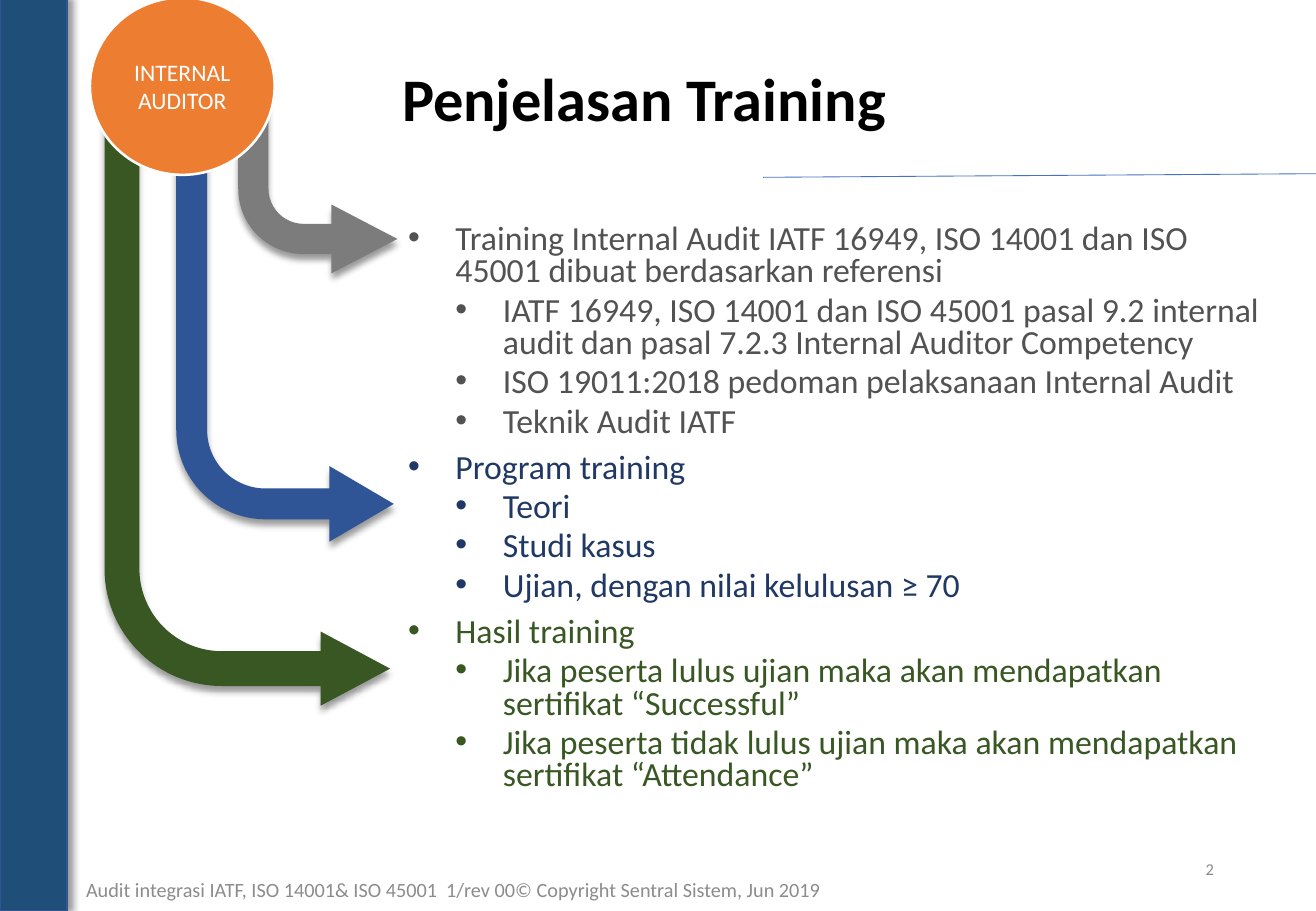
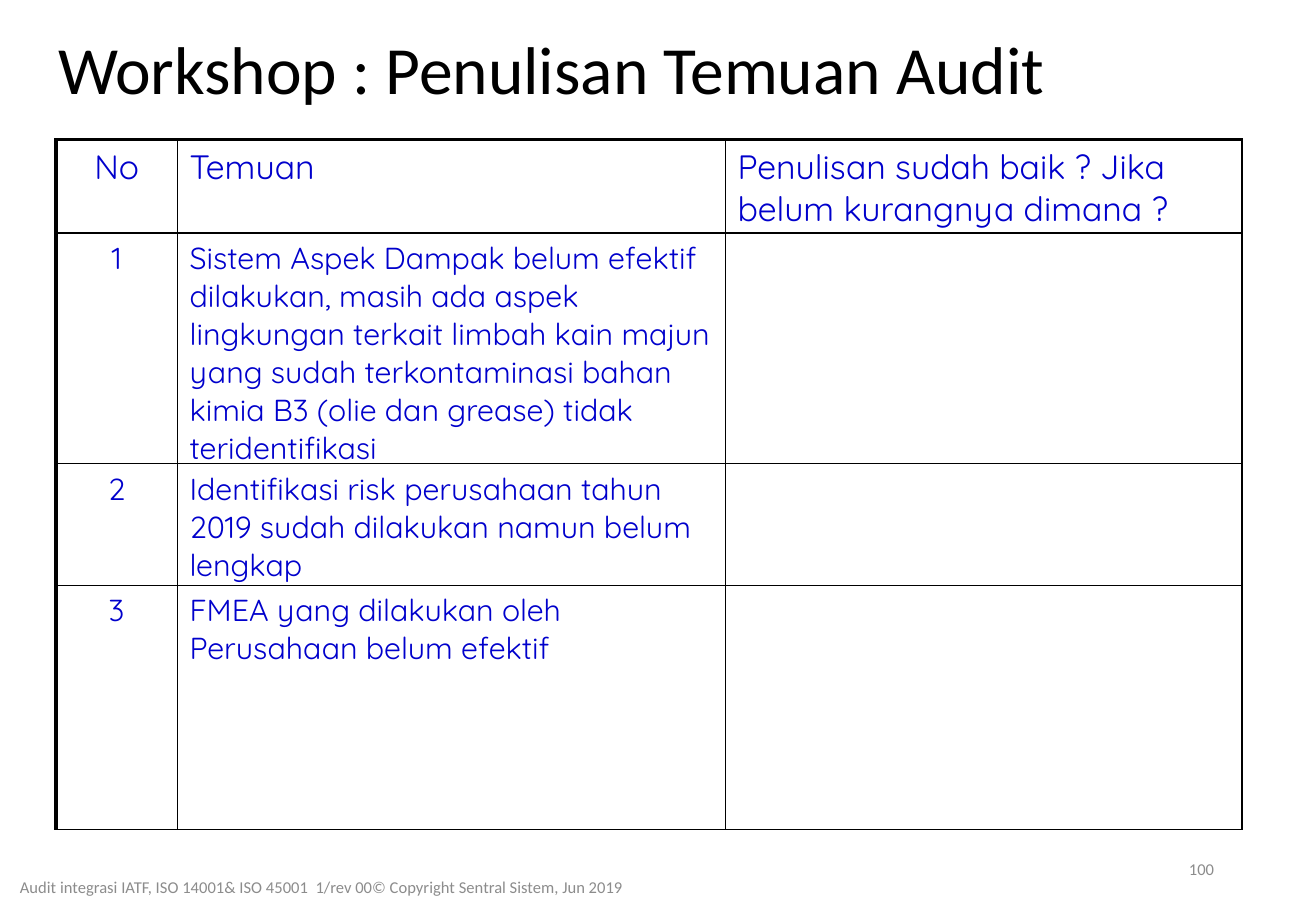
from dataclasses import dataclass

import pptx
import pptx.dml.color
import pptx.enum.shapes
import pptx.enum.text
import pptx.oxml
import pptx.oxml.ns
import pptx.util
from lxml import etree

Inches = pptx.util.Inches
Pt = pptx.util.Pt
Shape = pptx.enum.shapes.MSO_SHAPE
Align = pptx.enum.text.PP_ALIGN
Anchor = pptx.enum.text.MSO_ANCHOR


@dataclass(frozen=True)
class Theme:
    font: str = "Calibri"
    table_font: str = "Quicksand"
    black: str = "000000"
    white: str = "FFFFFF"
    footer: str = "8C8C8C"
    band: str = "1F4E79"
    band_edge: str = "325491"
    rule: str = "4472C4"
    circle: str = "ED7D31"
    table_text: str = "0000CC"
    title_size: float = 35.8
    workshop_size: float = 40
    body_size: float = 20
    row_size: float = 18
    circle_size: float = 14
    footer_size: float = 12
    small_size: float = 9.8
    thin: float = 1
    thick: float = 2.25


THEME = Theme()

FOOTER = "Audit integrasi IATF, ISO 14001& ISO 45001  1/rev 00© Copyright Sentral Sistem, Jun 2019"

TOPICS = [
    ("525252", "Training Internal Audit IATF 16949, ISO 14001 dan ISO 45001 dibuat berdasarkan referensi", [
        "IATF 16949, ISO 14001 dan ISO 45001 pasal 9.2 internal audit dan pasal 7.2.3 Internal Auditor Competency",
        "ISO 19011:2018 pedoman pelaksanaan Internal Audit",
        "Teknik Audit IATF",
    ]),
    ("203864", "Program training", [
        "Teori",
        "Studi kasus",
        "Ujian, dengan nilai kelulusan ≥ 70",
    ]),
    ("385723", "Hasil training", [
        "Jika peserta lulus ujian maka akan mendapatkan sertifikat “Successful”",
        "Jika peserta tidak lulus ujian maka akan mendapatkan sertifikat “Attendance”",
    ]),
]

ARROWS = [
    ((1.96, 0.44, 1.31, 1.81), (0.19, 0.216, 0.414, 0.411), "7C7C7C"),
    ((1.45, 0, 1.79, 4.46), (0.142, 0.174, 0.296, 0.411), "2F5597"),
    ((0.86, 0.44, 2.35, 5.37), (0.122, 0.13, 0.243, 0.411), "385723"),
]

FINDINGS = [
    ("No", "Temuan", "Penulisan sudah baik ? Jika belum kurangnya dimana ?"),
    ("1", "Sistem Aspek Dampak belum efektif dilakukan, masih ada aspek lingkungan terkait limbah "
          "kain majun yang sudah terkontaminasi bahan kimia B3 (olie dan grease) tidak teridentifikasi", ""),
    ("2", "Identifikasi risk perusahaan tahun 2019 sudah dilakukan namun belum lengkap", ""),
    ("3", "FMEA yang dilakukan oleh Perusahaan belum efektif", ""),
]
COLUMN_WIDTHS = [1, 4.51, 4.25]
ROW_HEIGHTS = [0.65, 1.61, 0.85, 2.01]


def rgb(color):
    return pptx.dml.color.RGBColor.from_string(color)


def place(box):
    return [Inches(length) for length in box]


def write(paragraph, text, size, color, font=THEME.font, bold=False, align=Align.LEFT):
    paragraph.alignment = align
    run = paragraph.add_run()
    run.text = text
    run.font.name = font
    run.font.size = Pt(size)
    run.font.bold = bold
    run.font.color.rgb = rgb(color)


def add_text(slide, box, anchor=Anchor.MIDDLE):
    frame = slide.shapes.add_textbox(*place(box)).text_frame
    frame.word_wrap = True
    frame.vertical_anchor = anchor
    return frame


def add_title(slide, box, text, size, bold=False):
    paragraph = add_text(slide, box).paragraphs[0]
    paragraph.line_spacing = 0.9
    write(paragraph, text, size, THEME.black, bold=bold)


def add_footer(slide, box, size, align, number):
    write(add_text(slide, box).paragraphs[0], FOOTER, size, THEME.footer, align=align)
    write(add_text(slide, (7.65, 6.95, 2.44, 0.4)).paragraphs[0], number,
          THEME.small_size, THEME.footer, align=Align.RIGHT)


def add_solid(slide, preset, box, fill, line=None, line_width=1):
    solid = slide.shapes.add_shape(preset, *place(box))
    solid.shadow.inherit = False
    solid.fill.solid()
    solid.fill.fore_color.rgb = rgb(fill)
    if line:
        solid.line.color.rgb = rgb(line)
        solid.line.width = Pt(line_width)
    else:
        solid.line.fill.background()
    return solid


def cast_shadow(solid, degrees):
    effects = solid._element.spPr.find(pptx.oxml.ns.qn("a:effectLst"))
    shadow = etree.SubElement(effects, pptx.oxml.ns.qn("a:outerShdw"), blurRad=str(Pt(4)),
                              dist=str(Pt(3)), dir=str(degrees * 60000), rotWithShape="0")
    color = etree.SubElement(shadow, pptx.oxml.ns.qn("a:srgbClr"), val=THEME.black)
    etree.SubElement(color, pptx.oxml.ns.qn("a:alpha"), val="40000")


def add_bullet(paragraph, text, color, level, first):
    paragraph.level = level
    properties = paragraph._p.get_or_add_pPr()
    properties.set("marL", str(Inches((1.18, 1.57)[level])))
    properties.set("indent", str(Inches(-0.39)))
    paragraph.line_spacing = 0.8
    paragraph.space_before = Pt(0 if first else (8.1, 4.1)[level])
    etree.SubElement(properties, pptx.oxml.ns.qn("a:buFont"), typeface="Arial")
    etree.SubElement(properties, pptx.oxml.ns.qn("a:buChar"), char="•")
    write(paragraph, text, THEME.body_size, color)


def set_borders(cell, widths):
    properties = cell._tc.get_or_add_tcPr()
    for index, (side, width) in enumerate(zip("LRTB", widths)):
        properties.insert(index, pptx.oxml.parse_xml(
            f'<a:ln{side} {pptx.oxml.ns.nsdecls("a")} w="{Pt(width)}"><a:solidFill>'
            f'<a:srgbClr val="{THEME.black}"/></a:solidFill></a:ln{side}>'))


def build_training(slide):
    add_title(slide, (3.21, 0.21, 6.52, 1.25), "Penjelasan Training", THEME.title_size, bold=True)

    topics = add_text(slide, (2.47, 1.8, 8.06, 5), Anchor.TOP)
    bullets = [(text, color, level) for color, heading, details in TOPICS
               for level, text in [(0, heading)] + [(1, detail) for detail in details]]
    for index, bullet in enumerate(bullets):
        paragraph = topics.add_paragraph() if index else topics.paragraphs[0]
        add_bullet(paragraph, *bullet, first=index == 0)

    add_footer(slide, (0.61, 7.12, 7.25, 0.4), THEME.footer_size, Align.LEFT, "2")

    for box, adjustments, color in ARROWS:
        arrow = add_solid(slide, Shape.BENT_ARROW, box, color)
        for index, value in enumerate(adjustments):
            arrow.adjustments[index] = value
        arrow.rotation = 180
        arrow._element.spPr.xfrm.set("flipH", "1")
        cast_shadow(arrow, 90)

    auditor = add_solid(slide, Shape.OVAL, (0.74, -0.02, 1.52, 1.46), THEME.circle, THEME.white, 1.5)
    auditor.text_frame.word_wrap = True
    auditor.text_frame.vertical_anchor = Anchor.MIDDLE
    write(auditor.text_frame.paragraphs[0], "INTERNAL AUDITOR", THEME.circle_size,
          THEME.white, align=Align.CENTER)

    band = add_solid(slide, Shape.RECTANGLE, (0, -0.02, 0.55, 7.52), THEME.band, THEME.band_edge)
    cast_shadow(band, 0)

    rule = slide.shapes.add_connector(pptx.enum.shapes.MSO_CONNECTOR.STRAIGHT,
                                      *place((6.28, 1.46, 10.83, 1.43)))
    rule.line.color.rgb = rgb(THEME.rule)
    rule.line.width = Pt(0.5)
    etree.SubElement(rule._element.spPr, pptx.oxml.ns.qn("a:effectLst"))


def build_workshop(slide):
    add_title(slide, (0.38, -0.03, 9.91, 1.25), "Workshop : Penulisan Temuan Audit", THEME.workshop_size)

    findings = slide.shapes.add_table(
        len(ROW_HEIGHTS), len(COLUMN_WIDTHS),
        *place((0.46, 1.15, sum(COLUMN_WIDTHS), sum(ROW_HEIGHTS)))).table
    findings.first_row = False
    findings.horz_banding = False
    for column, width in zip(findings.columns, COLUMN_WIDTHS):
        column.width = Inches(width)
    for row_index, (row, height) in enumerate(zip(findings.rows, ROW_HEIGHTS)):
        row.height = Inches(height)
        for column_index, cell in enumerate(row.cells):
            cell.fill.background()
            left = THEME.thin if column_index else THEME.thick
            top = THEME.thin if row_index else THEME.thick
            set_borders(cell, (left, THEME.thin, top, THEME.thin))
            text = FINDINGS[row_index][column_index]
            if text:
                write(cell.text_frame.paragraphs[0], text,
                      THEME.row_size if row_index else THEME.body_size,
                      THEME.table_text, THEME.table_font,
                      align=Align.LEFT if column_index else Align.CENTER)

    add_footer(slide, (0.03, 7.1, 5.23, 0.4), THEME.small_size, Align.CENTER, "100")


def main():
    deck = pptx.Presentation()
    deck.slide_width = Inches(10.83)
    deck.slide_height = Inches(7.5)
    for build in (build_training, build_workshop):
        build(deck.slides.add_slide(deck.slide_layouts[6]))
    deck.save("out.pptx")


if __name__ == "__main__":
    main()
